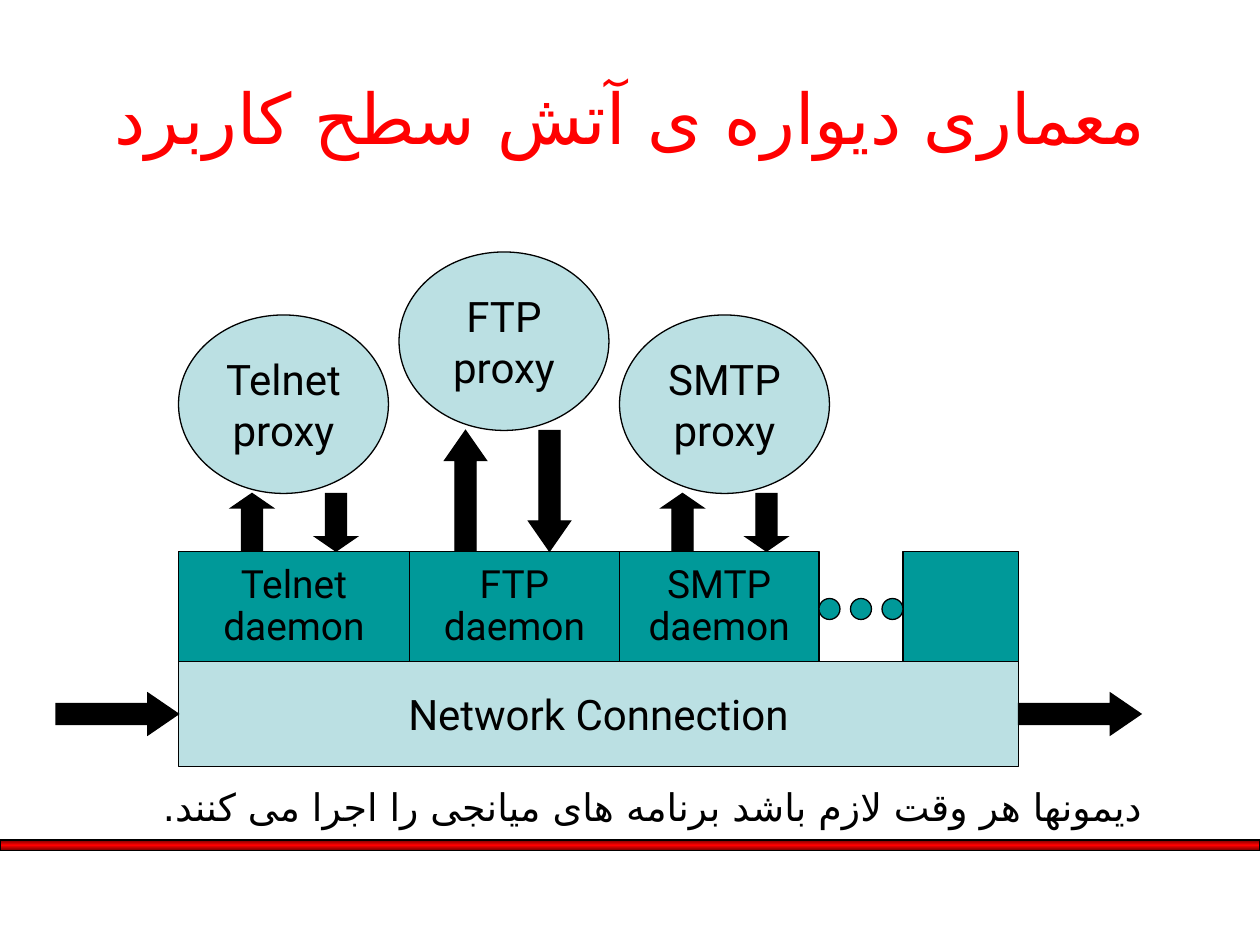
from copy import deepcopy
from dataclasses import dataclass

from lxml.etree import SubElement
from pptx import Presentation
from pptx.dml.color import RGBColor as Rgb
from pptx.enum.shapes import MSO_SHAPE as Shape
from pptx.enum.text import MSO_ANCHOR as Anchor, PP_ALIGN as Align
from pptx.oxml.ns import qn
from pptx.util import Pt


@dataclass(frozen=True)
class Theme:
    black: Rgb = Rgb(0, 0, 0)
    red: Rgb = Rgb(0xFF, 0, 0)
    dark_red: Rgb = Rgb(0x76, 0, 0)
    teal: Rgb = Rgb(0, 0x99, 0x99)
    pale: Rgb = Rgb(0xBB, 0xE0, 0xE3)
    persian_font: str = "Comic Neue"
    script_font: str = "DejaVu Sans"
    latin_font: str = "Roboto"
    title_size: float = 40
    label_size: float = 24
    daemon_size: float = 22.2
    note_size: float = 21.7
    line_width: float = 0.75


THEME = Theme()

# Shared edges of the diagram
LEFT, RIGHT = 102, 582
DAEMON_TOP, NETWORK_TOP = 315, 378
DAEMON_HEIGHT = NETWORK_TOP - DAEMON_TOP
PROXY_WIDTH, PROXY_HEIGHT = 120, 102
ARROW_THICKNESS = 24

# Name, daemon left, daemon width, proxy left, proxy top, up arrow left
SERVICES = [
    ("Telnet", 102, 132, 102, 180, 132),
    ("FTP", 234, 120, 228, 144, 254),
    ("SMTP", 354, 114, 354, 180, 378),
]
ARROW_GAP = 48


def style_text(para, text, size, color, font, align):
    para.text = text
    para.alignment = align
    para.font.size = Pt(size)
    para.font.color.rgb = color
    para.font.name = font


def style_persian(para, text, size, color, align):
    style_text(para, text, size, color, THEME.persian_font, align)
    # Persian letters take the complex-script font
    for span in para.runs:
        SubElement(span._r.get_or_add_rPr(), qn("a:cs"), typeface=THEME.script_font)


def add_block(page, kind, left, top, width, height, color):
    block = page.shapes.add_shape(kind, Pt(left), Pt(top), Pt(width), Pt(height))
    block.shadow.inherit = False
    block.fill.solid()
    block.fill.fore_color.rgb = color
    block.line.color.rgb = THEME.black
    block.line.width = Pt(THEME.line_width)
    return block


def label_block(block, text, size, spacing=1.0, wrap=True):
    frame = block.text_frame
    frame.word_wrap = wrap
    frame.vertical_anchor = Anchor.MIDDLE
    para = frame.paragraphs[0]
    style_text(para, text, size, THEME.black, THEME.latin_font, Align.CENTER)
    para.line_spacing = spacing


def add_arrow(page, kind, left, top, width, height, head):
    arrow = add_block(page, kind, left, top, width, height, THEME.black)
    arrow.adjustments[0] = 0.5
    arrow.adjustments[1] = head
    # Sharp corners
    SubElement(arrow.line._get_or_add_ln(), qn("a:miter"), lim="800000")


def add_title(page, text):
    title = page.shapes.title
    title.left, title.top, title.width, title.height = Pt(36), Pt(21.6), Pt(648), Pt(90)
    title.text_frame.vertical_anchor = Anchor.MIDDLE
    style_persian(title.text_frame.paragraphs[0], text,
                  THEME.title_size, THEME.red, Align.CENTER)


def add_note(page, text):
    box = page.shapes.add_textbox(Pt(42), Pt(444), Pt(618), Pt(36))
    box.text_frame.word_wrap = True
    para = box.text_frame.paragraphs[0]
    style_persian(para, text, THEME.note_size, THEME.black, Align.RIGHT)
    para._p.get_or_add_pPr().set("rtl", "1")


def add_footer_bar(page):
    bar = add_block(page, Shape.RECTANGLE, 0, 480, 720, 6, THEME.red)
    bar.fill.gradient()
    bar.fill.gradient_angle = 90
    stop_list = bar._element.spPr.find(".//" + qn("a:gsLst"))
    stop_list.append(deepcopy(stop_list[-1]))
    colors = (THEME.dark_red, THEME.red, THEME.dark_red)
    for index, (stop, color) in enumerate(zip(bar.fill.gradient_stops, colors)):
        stop.position = index / 2
        stop.color.rgb = color


def add_network(page):
    network = add_block(page, Shape.RECTANGLE, LEFT, NETWORK_TOP,
                        RIGHT - LEFT, 60, THEME.pale)
    label_block(network, "Network Connection", THEME.label_size, wrap=False)
    for left in (32, RIGHT):
        add_arrow(page, Shape.RIGHT_ARROW, left, 396, 70, ARROW_THICKNESS, 0.73)


def add_service(page, name, daemon_left, daemon_width, proxy_left, proxy_top, arrow_left):
    daemon = add_block(page, Shape.RECTANGLE, daemon_left, DAEMON_TOP,
                       daemon_width, DAEMON_HEIGHT, THEME.teal)
    label_block(daemon, f"{name} daemon", THEME.daemon_size, spacing=0.9)

    proxy = add_block(page, Shape.OVAL, proxy_left, proxy_top,
                      PROXY_WIDTH, PROXY_HEIGHT, THEME.pale)
    label_block(proxy, f"{name} proxy", THEME.label_size)

    # Arrows fill the gap between proxy and daemon
    top = proxy_top + PROXY_HEIGHT
    height = DAEMON_TOP - top
    head = height / ARROW_THICKNESS / 4
    for index, kind in enumerate((Shape.UP_ARROW, Shape.DOWN_ARROW)):
        add_arrow(page, kind, arrow_left + index * ARROW_GAP, top,
                  ARROW_THICKNESS, height, head)


def add_more_services(page):
    add_block(page, Shape.RECTANGLE, 516, DAEMON_TOP, RIGHT - 516, DAEMON_HEIGHT, THEME.teal)
    for index in range(3):
        add_block(page, Shape.OVAL, 468 + 18 * index, 342, 12, 12, THEME.teal)


def main():
    deck = Presentation()
    deck.slide_width, deck.slide_height = Pt(720), Pt(540)
    page = deck.slides.add_slide(deck.slide_layouts.get_by_name("Title Only"))

    # Frame of the slide
    add_footer_bar(page)
    add_title(page, "معماری دیواره ی آتش سطح کاربرد")
    add_note(page, "دیمونها هر وقت لازم باشد برنامه های میانجی را اجرا می کنند.")

    # Firewall diagram
    add_network(page)
    for service in SERVICES:
        add_service(page, *service)
    add_more_services(page)

    deck.save("out.pptx")


if __name__ == "__main__":
    main()
